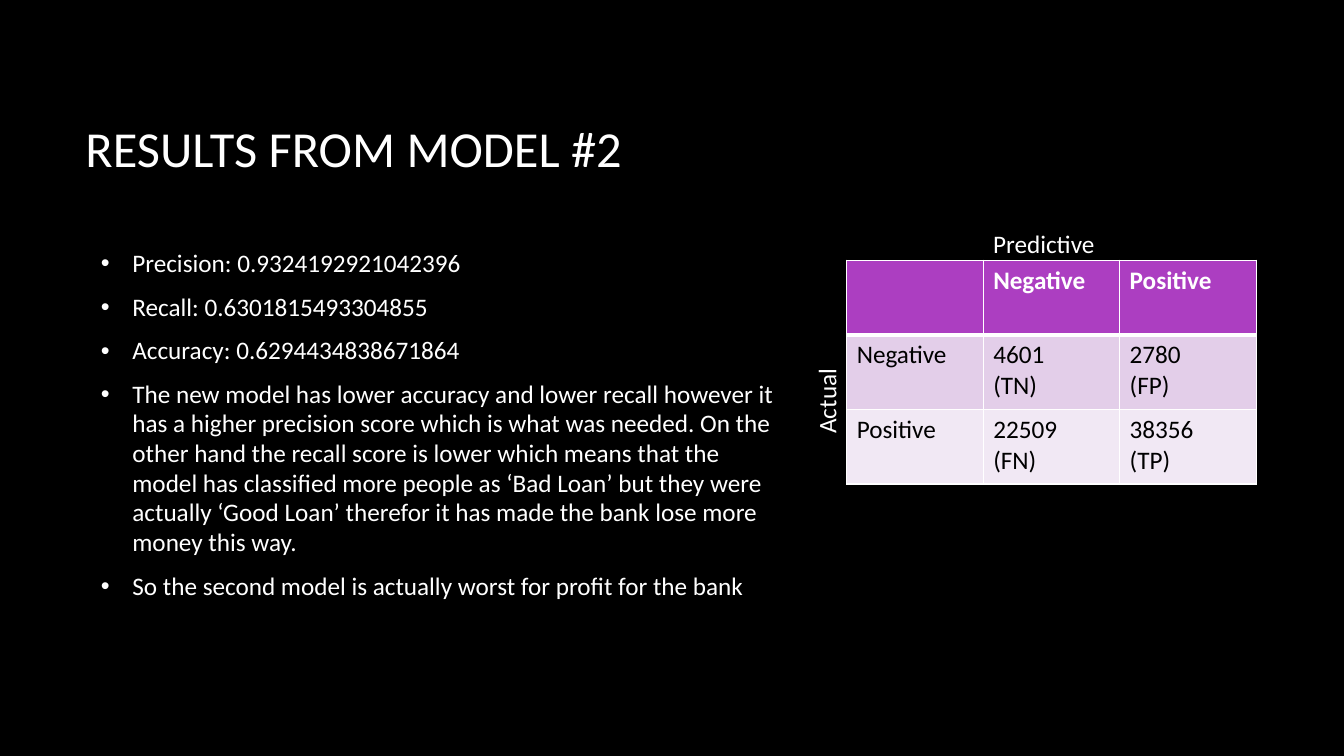
import dataclasses

import lxml.etree
import pptx
import pptx.dml.color
import pptx.enum.text
import pptx.oxml.ns
import pptx.util

Pt = pptx.util.Pt
qn = pptx.oxml.ns.qn
MIDDLE = pptx.enum.text.MSO_ANCHOR.MIDDLE


@dataclasses.dataclass(frozen=True)
class Theme:
    font: str = "Calibri"
    title_size: float = 36
    body_size: float = 18
    background: str = "000000"
    light: str = "FFFFFF"
    dark: str = "000000"
    header_fill: str = "AC3EC1"
    row_fills: tuple = ("E3CEE9", "F1E8F4")


THEME = Theme()

FINDINGS = [
    "Precision: 0.9324192921042396",
    "Recall: 0.6301815493304855",
    "Accuracy: 0.6294434838671864",
    "The new model has lower accuracy and lower recall however it has a higher "
    "precision score which is what was needed. On the other hand the recall score "
    "is lower which means that the model has classified more people as ‘Bad Loan’ "
    "but they were actually ‘Good Loan’ therefor it has made the bank lose more "
    "money this way.",
    "So the second model is actually worst for profit for the bank",
]

CONFUSION_MATRIX = [
    [[], ["Negative"], ["Positive"]],
    [["Negative"], ["4601", "(TN)"], ["2780", "(FP)"]],
    [["Positive"], ["22509", "(FN)"], ["38356", "(TP)"]],
]


def rgb(color):
    return pptx.dml.color.RGBColor.from_string(color)


def add_run(paragraph, text, size=THEME.body_size, color=THEME.light, bold=False):
    run = paragraph.add_run()
    run.text = text
    run.font.name = THEME.font
    run.font.size = Pt(size)
    run.font.bold = bold
    run.font.color.rgb = rgb(color)


def fill_paragraphs(text_frame, lines, **style):
    """Write one paragraph per line and return the paragraphs."""
    for index, line in enumerate(lines):
        if index:
            text_frame.add_paragraph()
        add_run(text_frame.paragraphs[index], line, **style)
    return text_frame.paragraphs


def add_text(slide, box, lines, anchor=None, **style):
    shape = slide.shapes.add_textbox(*map(Pt, box))
    shape.text_frame.word_wrap = True
    if anchor is not None:
        shape.text_frame.vertical_anchor = anchor
    fill_paragraphs(shape.text_frame, lines, **style)
    return shape


def add_bullet(paragraph, indent):
    properties = paragraph._p.get_or_add_pPr()
    properties.set("marL", str(Pt(indent)))
    properties.set("indent", str(-Pt(indent)))
    bullet_font = lxml.etree.SubElement(properties, qn("a:buFont"))
    bullet_font.set("typeface", "Arial")
    lxml.etree.SubElement(properties, qn("a:buChar")).set("char", "•")


def add_findings(slide, box):
    shape = add_text(slide, box, FINDINGS, anchor=MIDDLE)
    for paragraph in shape.text_frame.paragraphs:
        paragraph.line_spacing = 0.98
        paragraph.space_after = Pt(10)
        add_bullet(paragraph, 22.5)


def set_borders(cell, bottom_width):
    properties = cell._tc.get_or_add_tcPr()
    widths = {"lnL": 1, "lnR": 1, "lnT": 1, "lnB": bottom_width}
    for position, (side, width) in enumerate(widths.items()):
        line = lxml.etree.Element(qn(f"a:{side}"), w=str(Pt(width)))
        fill = lxml.etree.SubElement(line, qn("a:solidFill"))
        lxml.etree.SubElement(fill, qn("a:srgbClr")).set("val", THEME.light)
        properties.insert(position, line)


def add_matrix(slide, box):
    left, top, width, height = box
    row_count, column_count = len(CONFUSION_MATRIX), len(CONFUSION_MATRIX[0])
    frame = slide.shapes.add_table(row_count, column_count, *map(Pt, box))
    table = frame.table
    for column in table.columns:
        column.width = Pt(width / column_count)
    for row in table.rows:
        row.height = Pt(height / row_count)

    fills = (THEME.header_fill, *THEME.row_fills)
    for row_index, row_lines in enumerate(CONFUSION_MATRIX):
        is_header = row_index == 0
        for column_index, lines in enumerate(row_lines):
            cell = table.cell(row_index, column_index)
            cell.fill.solid()
            cell.fill.fore_color.rgb = rgb(fills[row_index])
            set_borders(cell, bottom_width=3 if is_header else 1)
            color = THEME.light if is_header else THEME.dark
            fill_paragraphs(cell.text_frame, lines, color=color, bold=is_header)


def add_labelled_matrix(slide, box):
    """Place the matrix with an axis label above it and one at its left."""
    left, top, width, height = box
    label_width, label_height = 289, 29
    add_matrix(slide, box)
    add_text(slide, (left + width / 3, top - 26, label_width, label_height), ["Predictive"])
    center_x, center_y = left - 14.5, top - 13.5
    actual_box = (center_x - label_width / 2, center_y - label_height / 2,
                  label_width, label_height)
    add_text(slide, actual_box, ["Actual"]).rotation = 270


def add_results_slide(presentation):
    slide = presentation.slides.add_slide(presentation.slide_layouts[6])
    slide.background.fill.solid()
    slide.background.fill.fore_color.rgb = rgb(THEME.background)
    add_text(slide, (54, 48, 798, 114.5), ["RESULTS FROM MODEL #2"],
             anchor=MIDDLE, size=THEME.title_size)
    add_findings(slide, (65, 160, 498, 287))
    add_labelled_matrix(slide, (604.8, 185.8, 292.5, 160))


def main():
    presentation = pptx.Presentation()
    presentation.slide_width = Pt(960)
    presentation.slide_height = Pt(540)
    add_results_slide(presentation)
    presentation.save("out.pptx")


if __name__ == "__main__":
    main()
